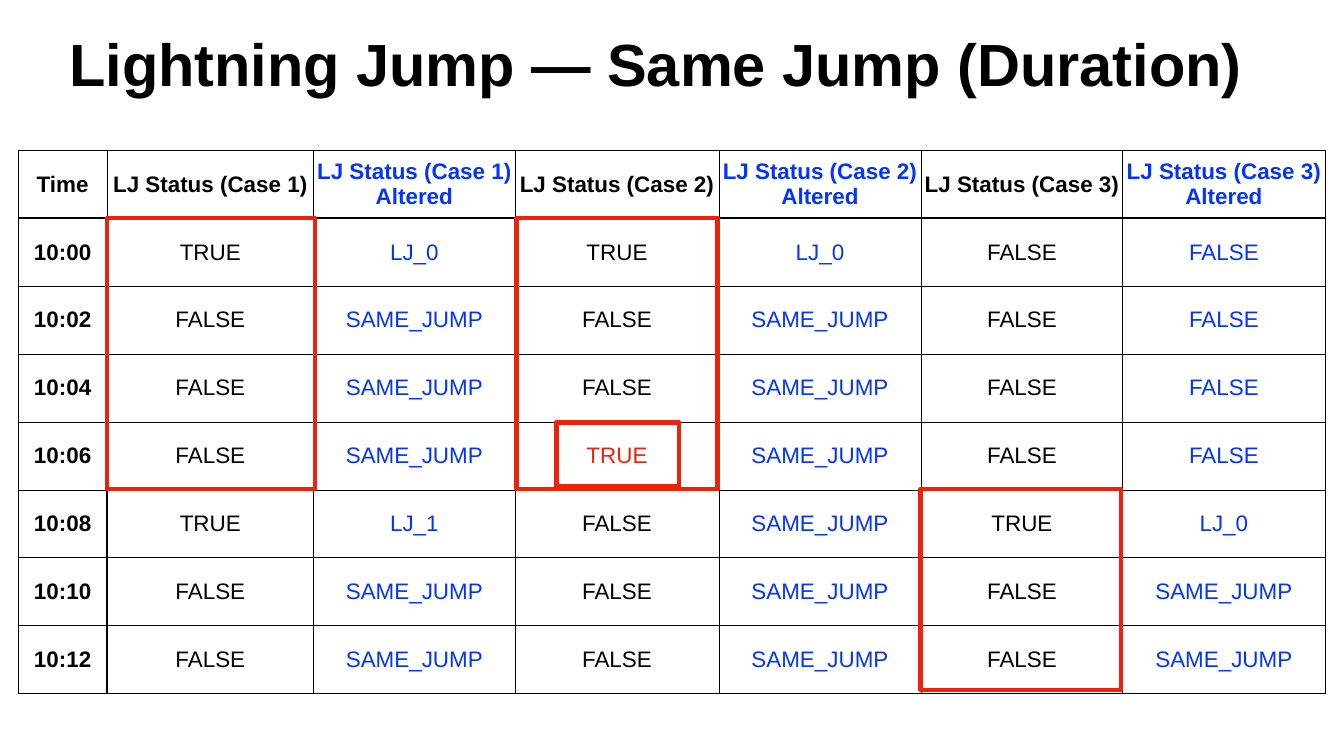
from lxml.etree import SubElement
from pptx import Presentation
from pptx.dml.color import RGBColor
from pptx.enum.shapes import MSO_SHAPE
from pptx.enum.text import MSO_ANCHOR, MSO_AUTO_SIZE, PP_ALIGN
from pptx.oxml.ns import qn
from pptx.util import Pt

PX = 12700
FONT = "Arial"
INSET = 4
COLORS = {"black": "000000", "blue": "0433FF", "red": "EB220C"}
COL_WIDTHS = [127, 295, 288, 291, 289, 288, 289]
ROW_HEIGHT = 97
ROWS = [
    ["Time"] + [f"LJ Status (Case {n}){end}" for n in (1, 2, 3) for end in ("", " Altered")],
    ["10:00", "TRUE", "LJ_0", "TRUE", "LJ_0", "FALSE", "FALSE"],
    ["10:02", "FALSE", "SAME_JUMP", "FALSE", "SAME_JUMP", "FALSE", "FALSE"],
    ["10:04", "FALSE", "SAME_JUMP", "FALSE", "SAME_JUMP", "FALSE", "FALSE"],
    ["10:06", "FALSE", "SAME_JUMP", "TRUE", "SAME_JUMP", "FALSE", "FALSE"],
    ["10:08", "TRUE", "LJ_1", "FALSE", "SAME_JUMP", "TRUE", "LJ_0"],
    ["10:10", "FALSE", "SAME_JUMP", "FALSE", "SAME_JUMP", "FALSE", "SAME_JUMP"],
    ["10:12", "FALSE", "SAME_JUMP", "FALSE", "SAME_JUMP", "FALSE", "SAME_JUMP"],
]
REPEAT_JUMP = (4, 3)
FRAMES = [
    (127, 96, 297, 388, 6),
    (712, 96, 287, 388, 6),
    (1289, 484, 287, 287, 6),
    (769, 388, 175, 92, 7),
]


def rgb(name):
    """Return a named colour."""
    return RGBColor.from_string(COLORS[name])


def write_text(tf, text, size, color="black", bold=False, align=PP_ALIGN.LEFT, spacing=1.0):
    """Fill a text frame with one formatted paragraph."""
    p = tf.paragraphs[0]
    p.alignment = align
    p.line_spacing = spacing
    r = p.add_run()
    r.text = text
    r.font.name = FONT
    r.font.size = Pt(size)
    r.font.bold = bold
    r.font.color.rgb = rgb(color)


def set_insets(target):
    """Give a cell or text frame equal inner margins."""
    target.margin_left = target.margin_right = INSET * PX
    target.margin_top = target.margin_bottom = INSET * PX


def set_borders(cell, **widths):
    """Draw the four cell borders in black with widths in points."""
    tc_pr = cell._tc.get_or_add_tcPr()
    for side in ("L", "R", "T", "B"):
        ln = SubElement(tc_pr, qn(f"a:ln{side}"), w=str(Pt(widths.get(side, 1))))
        fill = SubElement(ln, qn("a:solidFill"))
        SubElement(fill, qn("a:srgbClr"), val=COLORS["black"])


def add_title(slide, x, y, w, h):
    """Place the slide title in its placeholder."""
    sp = slide.shapes.title
    sp.left, sp.top, sp.width, sp.height = (v * PX for v in (x, y, w, h))
    tf = sp.text_frame
    tf.word_wrap = True
    tf.auto_size = MSO_AUTO_SIZE.NONE
    tf.vertical_anchor = MSO_ANCHOR.TOP
    set_insets(tf)
    write_text(tf, "Lightning Jump — Same Jump (Duration)", 85, bold=True, spacing=0.8)


def cell_color(row, col):
    """Choose the text colour for a table position."""
    if (row, col) == REPEAT_JUMP:
        return "red"
    return "blue" if col and col % 2 == 0 else "black"


def add_status_table(slide, x, y):
    """Place the table of lightning jump statuses."""
    size = (sum(COL_WIDTHS) * PX, len(ROWS) * ROW_HEIGHT * PX)
    table = slide.shapes.add_table(len(ROWS), len(COL_WIDTHS), x * PX, y * PX, *size).table
    table.first_row = table.horz_banding = False
    for column, width in zip(table.columns, COL_WIDTHS):
        column.width = width * PX
    for i, values in enumerate(ROWS):
        table.rows[i].height = ROW_HEIGHT * PX
        for j, text in enumerate(values):
            cell = table.cell(i, j)
            set_insets(cell)
            cell.vertical_anchor = MSO_ANCHOR.MIDDLE
            set_borders(cell, B=1 if i else 3, R=3 if i and not j else 1)
            cell.fill.background()
            write_text(cell.text_frame, text, 32, color=cell_color(i, j),
                       bold=i == 0 or j == 0, align=PP_ALIGN.CENTER)


def add_frames(slide, x, y):
    """Outline the jump periods relative to the table corner."""
    for dx, dy, w, h, weight in FRAMES:
        box = (v * PX for v in (x + dx, y + dy, w, h))
        sp = slide.shapes.add_shape(MSO_SHAPE.RECTANGLE, *box)
        sp.shadow.inherit = False
        sp.fill.background()
        sp.line.color.rgb = rgb("red")
        sp.line.width = Pt(weight)


def main():
    """Build and save the slide."""
    prs = Presentation()
    prs.slide_width, prs.slide_height = 1920 * PX, 1080 * PX
    slide = prs.slides.add_slide(prs.slide_layouts[5])
    add_title(slide, 95, 55, 1730, 113)
    add_status_table(slide, 26, 215)
    add_frames(slide, 26, 215)
    prs.save("out.pptx")


if __name__ == "__main__":
    main()
